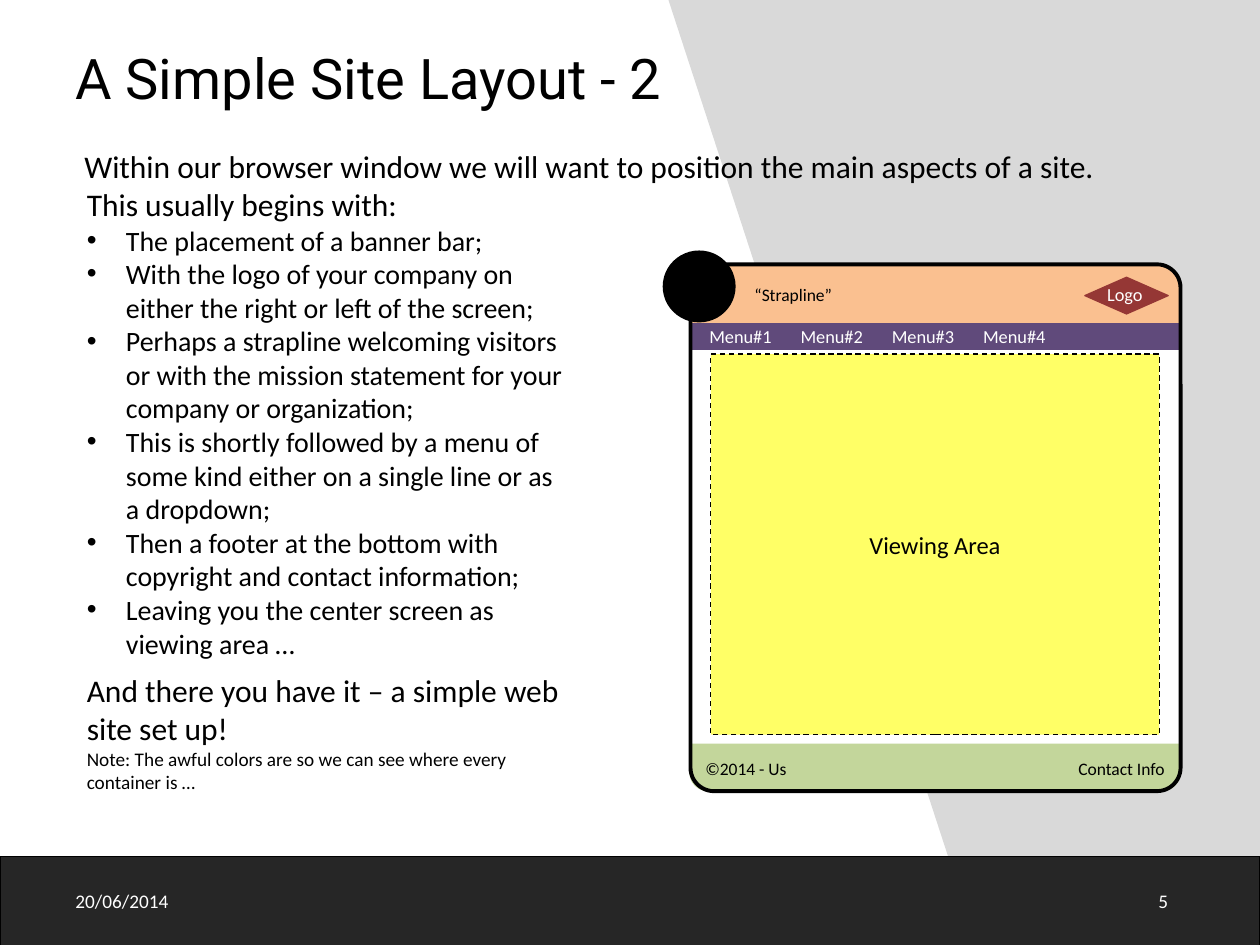
from dataclasses import dataclass

from lxml.etree import SubElement as Sub
from pptx import Presentation as Deck
from pptx.dml.color import RGBColor as Rgb
from pptx.enum.dml import MSO_LINE as Dash
from pptx.enum.shapes import MSO_SHAPE as Kind
from pptx.enum.text import MSO_ANCHOR as Anchor, MSO_AUTO_SIZE as Fit, PP_ALIGN as Align
from pptx.oxml.ns import qn
from pptx.util import Cm, Pt


@dataclass(frozen=True)
class Theme:
    black: str = "000000"
    white: str = "FFFFFF"
    wedge: str = "D9D9D9"
    base: str = "262626"
    banner: str = "FAC090"
    menu: str = "604A7B"
    badge: str = "953735"
    view: str = "FFFF66"
    footer: str = "C3D69B"
    head: str = "Roboto"
    body: str = "Calibri"
    title: float = 32
    lead: float = 18
    item: float = 16
    pane: float = 14
    note: float = 11
    label: float = 10.5
    small: float = 10


class Page:
    def __init__(self, slide, theme):
        self.slide = slide
        self.theme = theme

    def paint(self, shape, fill=None, line=None, width=0.75, dash=None):
        shape.shadow.inherit = False
        for part, color in ((shape.fill, fill), (shape.line.fill, line)):
            if color:
                part.solid()
                part.fore_color.rgb = Rgb.from_string(color)
            else:
                part.background()
        if line:
            shape.line.width = Pt(width)
        if dash:
            shape.line.dash_style = dash
        return shape

    def shape(self, kind, box, fill=None, line=None, adj=(), **style):
        shape = self.slide.shapes.add_shape(kind, *map(Cm, box))
        for i, value in enumerate(adj):
            shape.adjustments[i] = value
        return self.paint(shape, fill, line, **style)

    def outline(self, points, fill):
        start, *rest = [(Cm(x), Cm(y)) for x, y in points]
        build = self.slide.shapes.build_freeform(*start)
        build.add_line_segments(rest)
        return self.paint(build.convert_to_shape(), fill, fill)

    def letter(self, para, text, size, color=None, face=None, align=Align.LEFT):
        para.text = text
        para.alignment = align
        look = {"size": Pt(size), "name": face or self.theme.body}
        for key, value in look.items():
            setattr(para.font, key, value)
        para.font.color.rgb = Rgb.from_string(color or self.theme.black)

    def bullet(self, para, indent=0.79):
        props = para._p.get_or_add_pPr()
        for key, value in {"marL": Cm(indent), "indent": -Cm(indent)}.items():
            props.set(key, str(int(value)))
        Sub(props, qn("a:buFont")).set("typeface", "Arial")
        Sub(props, qn("a:buChar")).set("char", "•")

    def text(self, box, rows, wrap=True, anchor=Anchor.TOP, fit=Fit.SHAPE_TO_FIT_TEXT, **style):
        frame = self.slide.shapes.add_textbox(*map(Cm, box)).text_frame
        form = {"word_wrap": wrap, "vertical_anchor": anchor, "auto_size": fit}
        for key, value in form.items():
            setattr(frame, key, value)
        for i, (text, size, *mark) in enumerate(rows):
            para = frame.add_paragraph() if i else frame.paragraphs[0]
            if mark:
                self.bullet(para)
            self.letter(para, text, size, **style)

    def label(self, box, text, size, color=None):
        self.text(box, [(text, size)], wrap=False, color=color)

    def line(self, box, text, size, **style):
        self.text(box, [(text, size)], anchor=Anchor.MIDDLE, fit=Fit.NONE, **style)


ITEMS = (
    "The placement of a banner bar;",
    "With the logo of your company on either the right or left of the screen;",
    "Perhaps a strapline welcoming visitors or with the mission statement for your company or organization;",
    "This is shortly followed by a menu of some kind either on a single line or as a dropdown;",
    "Then a footer at the bottom with copyright and contact information;",
    "Leaving you the center screen as viewing area …",
)
FRAME = (13.92, 5.33, 9.88, 10.62)
ROUND = 0.048
CURVE = 0.384


def main():
    deck = Deck()
    deck.slide_width, deck.slide_height = Cm(25.4), Cm(19.05)
    t = Theme()
    page = Page(deck.slides.add_slide(deck.slide_layouts[6]), t)

    page.outline([(25.4, 19.05), (19.71, 19.05), (13.49, 0), (25.4, 0)], t.wedge)
    page.shape(Kind.RECTANGLE, (0, 17.27, 25.4, 1.82), t.base, t.black)
    page.line((1.27, 0.76, 18.54, 1.6), "A Simple Site Layout - 2", t.title, face=t.head)
    page.line((17.88, 17.65, 5.92, 1.02), "5", t.note, color=t.white, align=Align.RIGHT)
    page.line((1.27, 17.65, 5.92, 1.02), "20/06/2014", t.note, color=t.white)

    intro = "Within our browser window we will want to position the main aspects of a site."
    page.text((1.45, 2.84, 22.99, 1.02), [(intro, t.lead)])
    rows = [("This usually begins with:", t.lead)]
    rows += [(item, t.item, True) for item in ITEMS]
    page.text((1.5, 3.61, 10.16, 10.08), rows)
    page.text((1.5, 13.41, 10.16, 2.82), [
        ("And there you have it – a simple web site set up!", t.lead),
        ("Note: The awful colors are so we can see where every container is …", t.note),
    ])

    page.shape(Kind.ROUNDED_RECTANGLE, FRAME, t.white, adj=[ROUND])
    cap = Kind.ROUND_2_SAME_RECTANGLE
    page.shape(cap, (13.9, 14.99, 9.9, 0.96), t.footer, adj=[0, CURVE])
    page.shape(cap, (13.94, 5.36, 9.83, 1.17), t.banner, adj=[CURVE, 0])
    page.shape(Kind.DIAMOND, (21.87, 5.59, 1.68, 0.74), t.badge, t.badge)
    page.label((22.07, 5.59, 1.27, 0.74), "Logo", t.label, t.white)
    page.label((14.96, 5.61, 2.11, 0.69), "“Strapline”", t.small)
    page.shape(Kind.RECTANGLE, (13.94, 6.53, 9.86, 0.51), t.menu, t.menu)
    page.shape(Kind.ROUNDED_RECTANGLE, FRAME, line=t.black, adj=[ROUND], width=2.25)
    page.shape(Kind.OVAL, (13.36, 5.05, 1.47, 1.45), t.black)
    for i in range(4):
        page.label((14.05 + 1.84 * i, 6.43, 1.8, 0.72), f"Menu#{i + 1}", t.label, t.white)
    page.label((21.49, 15.16, 2.29, 0.69), "Contact Info", t.small)
    page.label((13.97, 15.16, 2.16, 0.69), "©2014 - Us", t.small)

    view = page.shape(Kind.RECTANGLE, (14.33, 7.14, 9.04, 7.67), t.view, t.black, dash=Dash.DASH)
    view.text_frame.vertical_anchor = Anchor.MIDDLE
    page.letter(view.text_frame.paragraphs[0], "Viewing Area", t.pane, align=Align.CENTER)

    deck.save("out.pptx")


if __name__ == "__main__":
    main()
